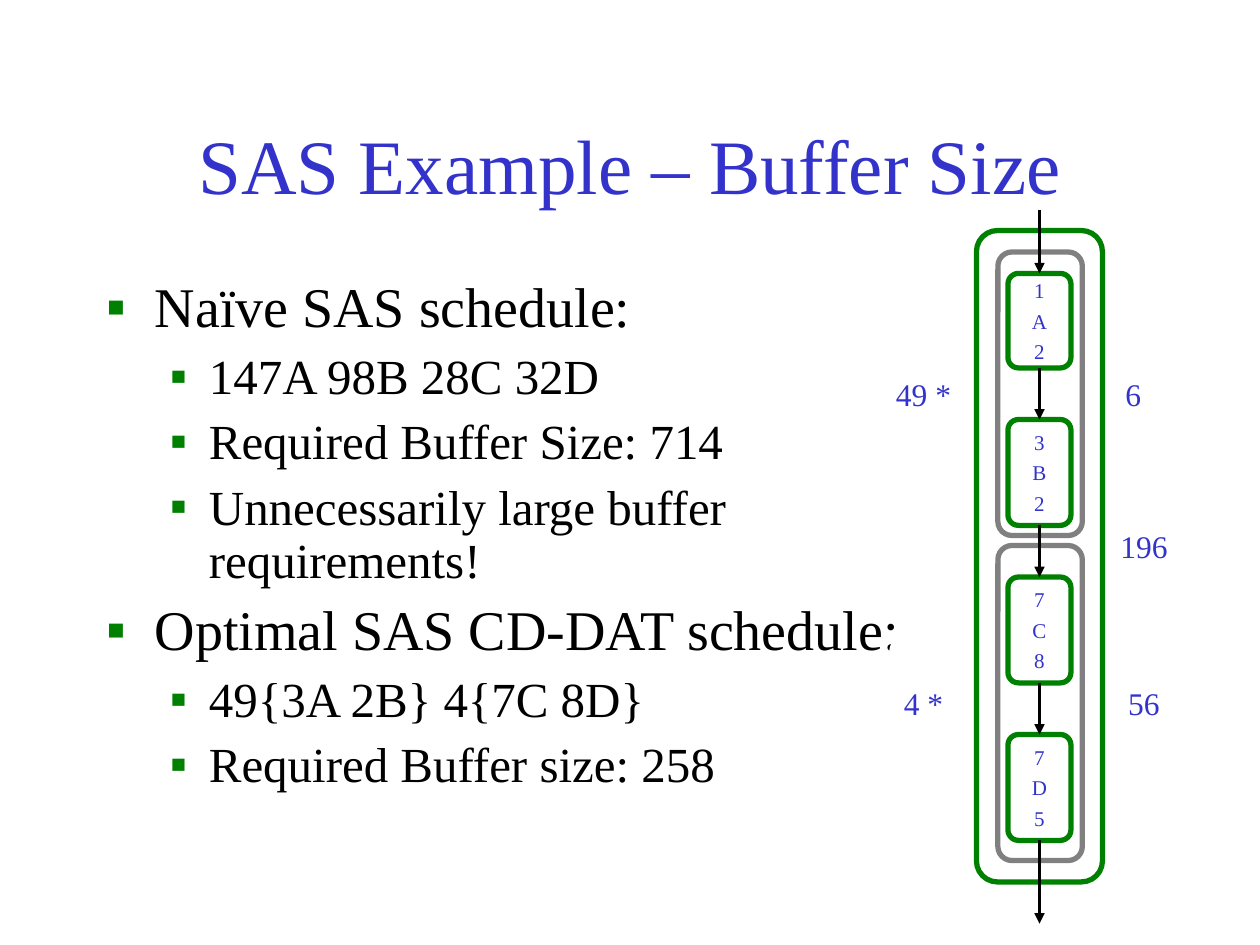
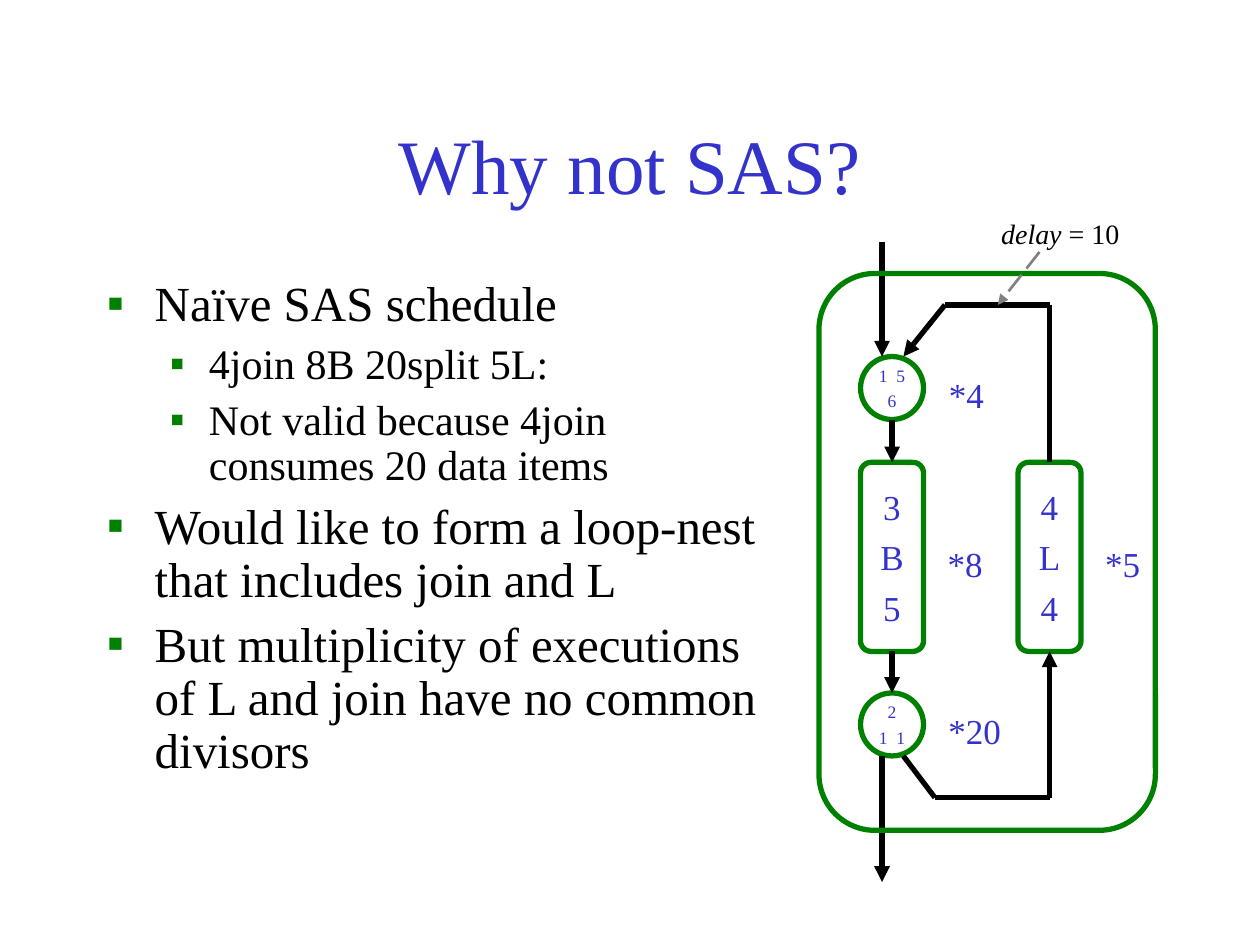
import pptx
import pptx.dml.color
import pptx.enum.dml
import pptx.enum.shapes
import pptx.enum.text
import pptx.oxml.ns
import pptx.util
from lxml import etree

Inches = pptx.util.Inches
Pt = pptx.util.Pt
KIND = pptx.enum.shapes.MSO_SHAPE
ALIGN = pptx.enum.text.PP_ALIGN
ANCHOR = pptx.enum.text.MSO_ANCHOR
qn = pptx.oxml.ns.qn

FONT = "Times New Roman"
COLORS = {
    "blue": "3333CC",
    "green": "008000",
    "gray": "808080",
    "black": "000000",
    "white": "FFFFFF",
}
INDENTS = [(0.38, 0.38), (0.81, 0.31)]  # left margin and hanging part per level


def color(name):
    return pptx.dml.color.RGBColor.from_string(COLORS[name])


def add_mark(par, level):
    """Give a paragraph the square green bullet of its level."""
    left, hang = INDENTS[level]
    props = par._p.get_or_add_pPr()
    props.set("marL", str(Inches(left)))
    props.set("indent", str(-Inches(hang)))
    if level:
        props.set("lvl", str(level))
    tint = etree.SubElement(props, qn("a:buClr"))
    etree.SubElement(tint, qn("a:srgbClr"), val=COLORS["green"])
    etree.SubElement(props, qn("a:buFont"), typeface=FONT)
    etree.SubElement(props, qn("a:buChar"), char="▪")


def write(par, text, size, tint="blue", align=ALIGN.CENTER, first=False,
          italic=False, track=0, spacing=None):
    """Add a run to a paragraph; track is extra letter spacing in points."""
    par.alignment = align
    par.space_before = Pt(0 if first else size / 4)
    if spacing:
        par.line_spacing = spacing
    run = par.add_run()
    run.text = text
    run.font.name = FONT
    run.font.size = Pt(size)
    run.font.italic = italic
    run.font.color.rgb = color(tint)
    if track:
        run.font._element.set("spc", str(round(track * 100)))


def get_par(frame, index):
    return frame.add_paragraph() if index else frame.paragraphs[0]


def fill_lines(frame, lines, size, **style):
    """Set centred lines in the middle of a frame, without wrapping."""
    frame.word_wrap = False
    frame.vertical_anchor = ANCHOR.MIDDLE
    for index, line in enumerate(lines):
        write(get_par(frame, index), line, size, first=index == 0, **style)


def add_text(slide, *box):
    frame = slide.shapes.add_textbox(*map(Inches, box)).text_frame
    frame.word_wrap = True
    return frame


def add_label(slide, text, *box):
    """Add a one-line label that may use the full width of its box."""
    frame = add_text(slide, *box)
    frame.margin_left = frame.margin_right = 0
    fill_lines(frame, [text], 20)


def add_title(slide, text):
    frame = add_text(slide, 0.75, 0.67, 8.5, 1.25)
    frame.vertical_anchor = ANCHOR.MIDDLE
    write(frame.paragraphs[0], text, 44, first=True)


def add_body(slide, width, sizes, points):
    """Points are pairs of level and text; sizes holds one size per level."""
    frame = add_text(slide, 0.75, 2.17, width, 4.5)
    for index, (level, text) in enumerate(points):
        par = get_par(frame, index)
        add_mark(par, level)
        write(par, text, sizes[level], tint="black", align=ALIGN.LEFT,
              first=index == 0, spacing=0.9)


def add_box(slide, box, lines=(), size=12, edge="green",
            kind=KIND.FLOWCHART_ALTERNATE_PROCESS, **style):
    shape = slide.shapes.add_shape(kind, *map(Inches, box))
    shape.shadow.inherit = False
    shape.fill.background()
    shape.line.color.rgb = color(edge)
    shape.line.width = Pt(3)
    fill_lines(shape.text_frame, lines, size, **style)


def add_line(slide, start, end, width=3, tint="black", head=True, dash=None):
    line = slide.shapes.add_connector(
        pptx.enum.shapes.MSO_CONNECTOR.STRAIGHT, *map(Inches, start + end))
    line.line.color.rgb = color(tint)
    line.line.width = Pt(width)
    if dash:
        line.line.dash_style = dash
    props = line._element.spPr
    if head:
        etree.SubElement(props.find(qn("a:ln")), qn("a:tailEnd"), type="triangle")
    etree.SubElement(props, qn("a:effectLst"))


def add_path(slide, *points):
    """Join points by lines, with an arrowhead on the last one."""
    last = len(points) - 2
    for index, (start, end) in enumerate(zip(points, points[1:])):
        add_line(slide, start, end, head=index == last)


def draw_buffer(slide):
    add_title(slide, "SAS Example – Buffer Size")
    add_body(slide, 6.58, (32, 28), [
        (0, "Naïve SAS schedule:"),
        (1, "147A 98B 28C 32D"),
        (1, "Required Buffer Size: 714"),
        (1, "Unnecessarily large buffer requirements!"),
        (0, "Optimal SAS CD-DAT schedule:"),
        (1, "49{3A 2B} 4{7C 8D}"),
        (1, "Required Buffer size: 258"),
    ])

    add_box(slide, (7.75, 1.83, 1, 5.17))
    for top, height in [(2, 2.25), (4.33, 2.5)]:
        add_box(slide, (7.92, top, 0.67, height), edge="gray")

    mid, start = 8.25, 1.67
    for index, actor in enumerate(["1A2", "3B2", "7C8", "7D5"]):
        height = 0.84 if index else 0.75
        end = 2.92 + 1.25 * index
        add_box(slide, (8, end - height, 0.5, height), actor)
        add_line(slide, (mid, start), (mid, end - height), width=1.5)
        start = end
    add_line(slide, (mid, start), (mid, 7.33), width=1.5)

    for text, left, top, width, height in [
        ("49 *", 7.08, 2.67, 0.5, 0.92),
        ("6", 8.83, 2.67, 0.33, 0.92),
        ("56", 8.83, 5.08, 0.5, 1),
        ("4 *", 7.08, 5.08, 0.5, 1),
        ("196", 8.83, 3.83, 0.5, 1),
    ]:
        add_box(slide, (left, top, width, height), [text], 18, edge="white")


def draw_loop(slide):
    add_title(slide, "Why not SAS?")
    add_body(slide, 5.5, (28, 24), [
        (0, "Naïve SAS schedule"),
        (1, "4join 8B 20split 5L:"),
        (1, "Not valid because 4join consumes 20 data items"),
        (0, "Would like to form a loop-nest that includes join and L"),
        (0, "But multiplicity of executions of L and join have no common divisors"),
    ])

    for left, actor in [(6.83, "3B5"), (8.08, "4L4")]:
        add_box(slide, (left, 3.67, 0.5, 1.5), actor, 20)
    for top, rates in [(5.5, ["2", "1 1"]), (2.83, ["1 5", "6"])]:
        add_box(slide, (6.83, top, 0.5, 0.5), rates, 10, kind=KIND.OVAL, track=1.25)

    add_path(slide, (7.08, 3.33), (7.08, 3.67))
    add_path(slide, (7.08, 5.17), (7.08, 5.5))
    add_path(slide, (7.17, 6), (7.42, 6.33), (8.33, 6.33), (8.33, 5.17))
    add_path(slide, (8.33, 3.67), (8.33, 2.42), (7.5, 2.42), (7.17, 2.83))
    add_path(slide, (7, 1.92), (7, 2.83))
    add_path(slide, (7, 6), (7, 7))
    add_box(slide, (6.5, 2.17, 2.67, 4.42))

    delay = add_text(slide, 7.75, 1.67, 1.33, 0.37).paragraphs[0]
    write(delay, "delay", 16, tint="black", first=True, italic=True)
    write(delay, " = 10", 16, tint="black", first=True)
    add_line(slide, (8.25, 2), (7.92, 2.42), width=1.5, tint="gray",
             dash=pptx.enum.dml.MSO_LINE.LONG_DASH)

    for text, left, top, width in [
        ("*4", 7.43, 2.91, 0.48),
        ("*8", 7.42, 4.25, 0.48),
        ("*20", 7.43, 5.58, 0.61),
        ("*5", 8.67, 4.25, 0.48),
    ]:
        add_label(slide, text, left, top, width, 0.44)


def main():
    deck = pptx.Presentation()
    deck.slide_width, deck.slide_height = Inches(10), Inches(7.5)
    for draw in (draw_buffer, draw_loop):
        draw(deck.slides.add_slide(deck.slide_layouts[6]))
    deck.save("out.pptx")


if __name__ == "__main__":
    main()
